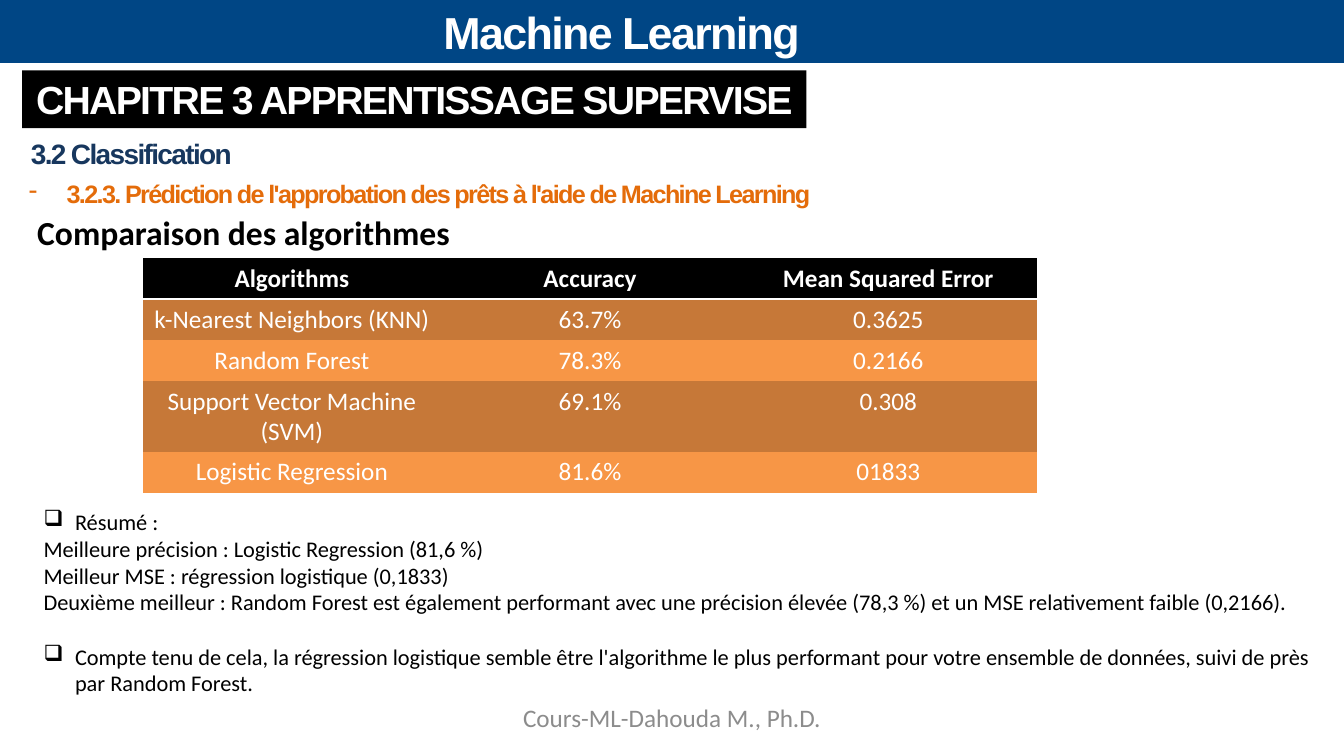
from lxml import etree
from pptx import Presentation
from pptx.dml.color import RGBColor
from pptx.enum.shapes import MSO_SHAPE
from pptx.enum.text import MSO_ANCHOR, PP_ALIGN
from pptx.oxml.ns import qn
from pptx.util import Emu, Pt

PX = 9525  # EMU in one px, 96 px to the inch
CENTER, LEFT = PP_ALIGN.CENTER, PP_ALIGN.LEFT
MIDDLE, TOP = MSO_ANCHOR.MIDDLE, MSO_ANCHOR.TOP
RECTANGLE = MSO_SHAPE.RECTANGLE
NO_GRID_STYLE = "{2D5ABB26-0587-4C30-8999-92F81FD0307C}"

THEME = {
    "band": "004685", "black": "000000", "white": "FFFFFF", "navy": "17375E",
    "orange": "E46C0A", "gray": "8C8C8C", "rows": ("C67838", "F79646"),
    "heading": "Arial", "body": "Calibri",
    "title": 32, "chapter": 28, "comparison": 24, "section": 20,
    "normal": 18, "summary": 16,
}


def write(paragraph, text, size, color, font="body", bold=False, align=LEFT,
          bullet=None, indent=0, **spacing):
    """Fill a paragraph; headings have tight letter spacing."""
    run = paragraph.add_run()
    run.text = text
    formats = {"size": Pt(THEME[size]), "name": THEME[font], "bold": bold}
    for name, value in formats.items():
        setattr(run.font, name, value)
    run.font.color.rgb = RGBColor.from_string(THEME[color])
    if font == "heading":
        run.font._element.set("spc", "-120")
    paragraph.alignment = align
    for name, value in spacing.items():
        setattr(paragraph, name, value)
    if bullet:
        properties = paragraph._p.get_or_add_pPr()
        properties.set("marL", str(indent * PX))
        properties.set("indent", str(-indent * PX))
        etree.SubElement(properties, qn("a:buChar")).set("char", bullet)


def add_box(left, top, width, height, fill=None, anchor=TOP, wrap=True):
    """Add a text box, or a rectangle when a fill is given; return the shape."""
    place = [Emu(value * PX) for value in (left, top, width, height)]
    if fill:
        shape = slide.shapes.add_shape(RECTANGLE, *place)
        shape.shadow.inherit = False
        shape.fill.solid()
        shape.fill.fore_color.rgb = RGBColor.from_string(THEME[fill])
        shape.line.fill.background()
    else:
        shape = slide.shapes.add_textbox(*place)
    shape.text_frame.word_wrap = wrap
    shape.text_frame.vertical_anchor = anchor
    return shape


presentation = Presentation()
presentation.slide_width, presentation.slide_height = Emu(1280 * PX), Emu(720 * PX)
slide = presentation.slides.add_slide(presentation.slide_layouts[6])

# Title band
add_box(0, 0, 1280, 60, fill="band")
title = add_box(0, 0, 1184, 61)
write(title.text_frame.paragraphs[0], "Machine Learning", "title", "white",
      "heading", True, CENTER)

# Chapter, section and topic headings
chapter = add_box(21, 67, 747, 55, fill="black", anchor=MIDDLE)
write(chapter.text_frame.paragraphs[0], "CHAPITRE 3 APPRENTISSAGE SUPERVISE",
      "chapter", "white", "heading", True, CENTER)
section = add_box(20, 125, 868, 41)
write(section.text_frame.paragraphs[0], "3.2 Classification", "section", "navy",
      "heading", True)
topic = add_box(18, 163, 1254, 38)
write(topic.text_frame.paragraphs[0],
      "3.2.3. Prédiction de l'approbation des prêts à l'aide de Machine Learning",
      "normal", "orange", "heading", True, bullet="-", indent=36,
      line_spacing=1.07, space_after=Pt(8))
comparison = add_box(26, 197, 418, 48, wrap=False)
write(comparison.text_frame.paragraphs[0], "Comparaison des algorithmes",
      "comparison", "black", bold=True)

# Comparison table
RESULTS = [
    ("Algorithms", "Accuracy", "Mean Squared Error"),
    ("k-Nearest Neighbors (KNN)", "63.7%", "0.3625"),
    ("Random Forest", "78.3%", "0.2166"),
    ("Support Vector Machine (SVM)", "69.1%", "0.308"),
    ("Logistic Regression", "81.6%", "01833"),
]
ROW_HEIGHTS = (39, 39, 39, 67, 39)
COLUMN_WIDTH = 284
frame = slide.shapes.add_table(
    len(RESULTS), len(RESULTS[0]), Emu(136 * PX), Emu(246 * PX),
    Emu(COLUMN_WIDTH * len(RESULTS[0]) * PX), Emu(sum(ROW_HEIGHTS) * PX))
table = frame.table
table._tbl.tblPr.find(qn("a:tableStyleId")).text = NO_GRID_STYLE
table.horz_banding = False
for column in table.columns:
    column.width = Emu(COLUMN_WIDTH * PX)
for row_index, (values, height) in enumerate(zip(RESULTS, ROW_HEIGHTS)):
    table.rows[row_index].height = Emu(height * PX)
    header = row_index == 0
    fill = THEME["black"] if header else THEME["rows"][(row_index - 1) % 2]
    for column_index, value in enumerate(values):
        cell = table.cell(row_index, column_index)
        write(cell.text_frame.paragraphs[0], value, "normal", "white",
              bold=header, align=CENTER)
        cell.fill.solid()
        cell.fill.fore_color.rgb = RGBColor.from_string(fill)
        if header:  # white rule below the header, placed before the fill
            border = etree.Element(qn("a:lnB"), w=str(Pt(2)))
            solid = etree.SubElement(border, qn("a:solidFill"))
            etree.SubElement(solid, qn("a:srgbClr")).set("val", THEME["white"])
            cell._tc.tcPr.insert(0, border)

# Summary
BULLET = {"bullet": "❑", "indent": 30}
SUMMARY = [
    ("Résumé :", BULLET),
    ("Meilleure précision : Logistic Regression (81,6 %)", {}),
    ("Meilleur MSE : régression logistique (0,1833)", {}),
    ("Deuxième meilleur : Random Forest est également performant avec une "
     "précision élevée (78,3 %) et un MSE relativement faible (0,2166).", {}),
    ("Compte tenu de cela, la régression logistique semble être l'algorithme le "
     "plus performant pour votre ensemble de données, suivi de près par Random "
     "Forest.", {**BULLET, "space_before": Pt(19.5)}),
]
summary = add_box(32, 479, 1233, 191).text_frame
for index, (text, options) in enumerate(SUMMARY):
    paragraph = summary.add_paragraph() if index else summary.paragraphs[0]
    write(paragraph, text, "summary", "black", **options)

# Footer
footer = add_box(435, 669, 410, 29).text_frame
for side in ("left", "top", "right", "bottom"):
    setattr(footer, f"margin_{side}", 0)
write(footer.paragraphs[0], "Cours-ML-Dahouda M., Ph.D.", "normal", "gray",
      align=CENTER)

presentation.save("out.pptx")
